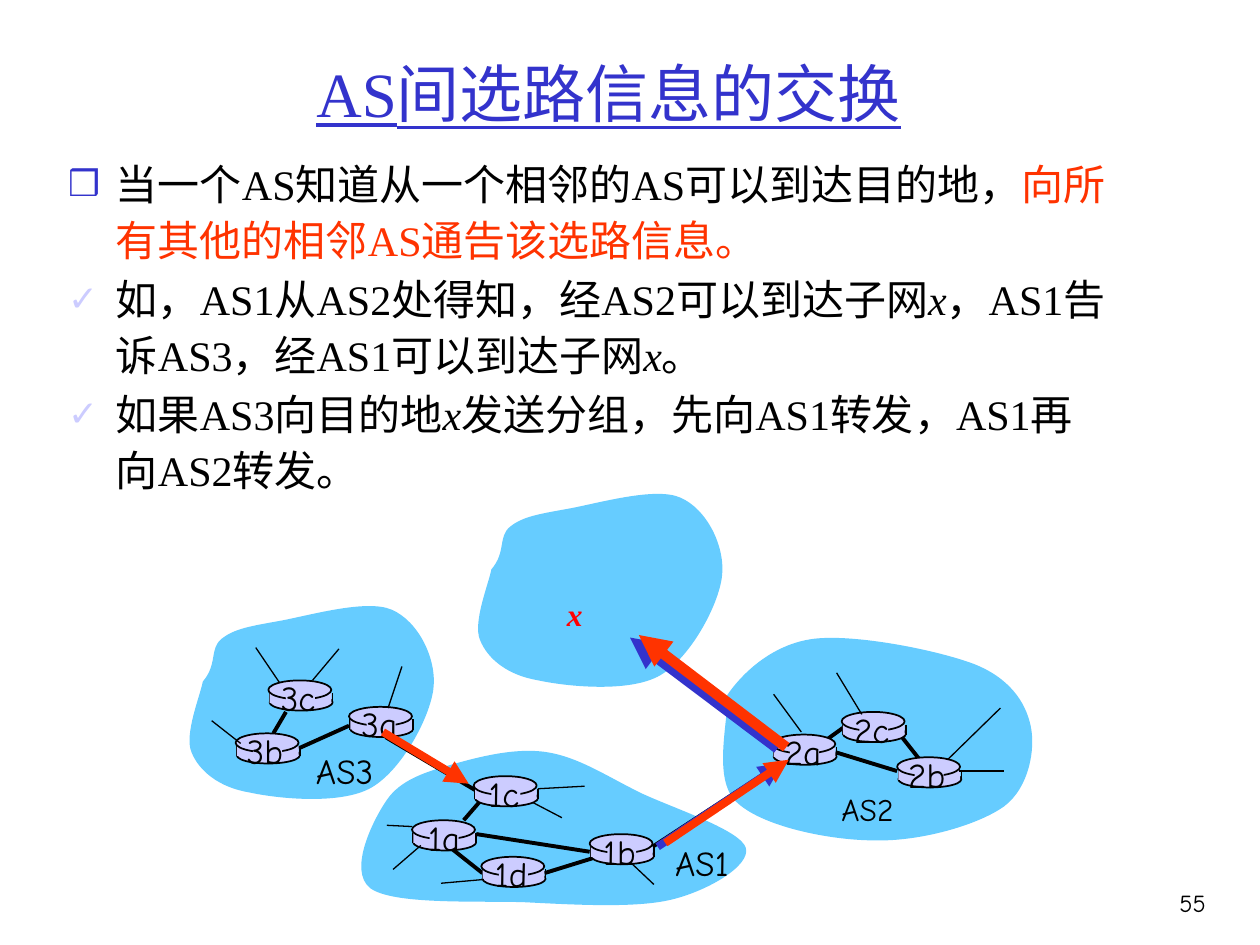
from lxml.etree import SubElement
from pptx import Presentation
from pptx.dml.color import RGBColor
from pptx.enum.shapes import MSO_CONNECTOR, MSO_SHAPE as SHAPE
from pptx.enum.text import MSO_ANCHOR, MSO_AUTO_SIZE, PP_ALIGN
from pptx.oxml.ns import qn
from pptx.util import Inches, Pt

SERIF, COMIC = "Times New Roman", "Comic Neue"
BLACK, BLUE, LILAC, SKY = "000000", "3333CC", "CCCCFF", "66CCFF"
ORANGE, RED = "FF3300", "FF0000"

TITLE = "AS间选路信息的交换"
# (bullet, bullet colour, [(text, colour, italic)])
BODY = [
    ("❒", BLUE, [("当一个AS知道从一个相邻的AS可以到达目的地，", BLACK, False),
                 ("向所有其他的相邻AS通告该选路信息。", ORANGE, False)]),
    ("✓", LILAC, [("如，AS1从AS2处得知，经AS2可以到达子网", BLACK, False),
                  ("x", BLACK, True),
                  ("，AS1告诉AS3，经AS1可以到达子网", BLACK, False),
                  ("x", BLACK, True), ("。", BLACK, False)]),
    ("✓", LILAC, [("如果AS3向目的地", BLACK, False), ("x", BLACK, True),
                  ("发送分组，先向AS1转发，AS1再向AS2转发。", BLACK, False)]),
]

# Cloud outlines: a start point, then three points (two controls, end) per curve
AS2_CLOUD = [(5.77, 5.52),
             (5.9, 5.33), (6.14, 5.11), (6.46, 5.07), (6.79, 5.03), (7.44, 5.16), (7.73, 5.27),
             (8.01, 5.38), (8.14, 5.57), (8.18, 5.76), (8.22, 5.94), (8.17, 6.25), (7.97, 6.4),
             (7.76, 6.55), (7.3, 6.68), (6.94, 6.67), (6.59, 6.67), (6.04, 6.56), (5.84, 6.36),
             (5.65, 6.17), (5.79, 5.7), (5.77, 5.52)]
AS3_CLOUD = [(1.61, 5.41),
             (1.73, 5.27), (1.66, 5.15), (1.76, 5.07), (1.86, 4.99), (1.99, 4.97), (2.21, 4.93),
             (2.44, 4.89), (2.91, 4.75), (3.11, 4.84), (3.32, 4.93), (3.47, 5.23), (3.44, 5.47),
             (3.41, 5.7), (3.19, 6.11), (2.95, 6.25), (2.71, 6.39), (2.21, 6.34), (1.98, 6.29),
             (1.74, 6.25), (1.58, 6.12), (1.52, 5.97), (1.46, 5.83), (1.59, 5.52), (1.61, 5.41)]
AS1_CLOUD = [(3.07, 6.35),
             (3.18, 6.19), (3.37, 6.13), (3.58, 6.07), (3.79, 6.01), (4.09, 5.93), (4.34, 5.97),
             (4.6, 6.01), (4.83, 6.17), (5.1, 6.3), (5.36, 6.42), (5.88, 6.59), (5.92, 6.73),
             (5.96, 6.87), (5.62, 7.07), (5.33, 7.14), (5.04, 7.21), (4.55, 7.18), (4.15, 7.16),
             (3.75, 7.15), (3.12, 7.18), (2.94, 7.05), (2.76, 6.91), (2.96, 6.51), (3.07, 6.35)]
# (outline, shift right, shift down); subnet x has the outline of AS3
CLOUDS = [(AS2_CLOUD, 0, 0), (AS3_CLOUD, 0, 0), (AS1_CLOUD, 0, 0),
          (AS3_CLOUD, 2.29, -0.89)]

# name: (left, top, label left, label width)
ROUTERS = {"3b": (1.87, 5.82, 1.86, 0.54), "1d": (3.82, 6.8, 3.83, 0.49),
           "3a": (2.77, 5.61, 2.77, 0.51), "1c": (3.76, 6.16, 3.78, 0.47),
           "2a": (6.13, 5.83, 6.13, 0.51), "1a": (3.27, 6.51, 3.3, 0.47),
           "2c": (6.68, 5.65, 6.68, 0.52), "2b": (7.12, 6.01, 7.11, 0.54),
           "1b": (4.68, 6.62, 4.69, 0.49), "3c": (2.13, 5.4, 2.13, 0.51)}
LINKS = [(6.63, 5.97, 7.12, 6.12), (7.15, 5.84, 7.3, 6.03), (6.52, 5.9, 6.7, 5.77),
         (4.32, 6.93, 4.74, 6.8), (3.59, 6.74, 3.83, 6.93), (3.78, 6.62, 4.68, 6.76),
         (3.68, 6.51, 3.81, 6.36), (2.37, 5.94, 2.77, 5.76), (3.06, 5.85, 3.77, 6.27),
         (5.18, 6.72, 6.22, 6.04), (2.27, 5.65, 2.17, 5.82)]
STUBS = [(1.68, 5.72, 1.91, 5.9), (2.69, 5.15, 2.48, 5.4), (2.03, 5.14, 2.22, 5.42),
         (3.19, 5.29, 3.08, 5.62), (7.61, 6.12, 7.97, 6.12), (7.52, 6.03, 7.94, 5.62),
         (6.84, 5.67, 6.64, 5.34), (6.36, 5.81, 6.14, 5.51), (3.34, 6.71, 3.12, 6.9),
         (3.27, 6.56, 3.07, 6.55), (3.84, 6.98, 3.5, 7.01), (4.27, 6.26, 4.64, 6.24),
         (5.01, 6.85, 5.19, 7.02), (4.23, 6.37, 4.46, 6.49)]
ARROWS = [((5.22, 6.72, 6.21, 6.06), BLUE, 4.5), ((6.17, 5.94, 5, 5.06), BLUE, 6),
          ((3.04, 5.81, 3.72, 6.22), ORANGE, 4.5),
          ((5.28, 6.69, 6.26, 6.03), ORANGE, 4.5),
          ((6.24, 5.93, 5.07, 5.04), ORANGE, 6)]
AS_LABELS = [("AS3", 2.41, 5.9, 0.77, 0.43, 20), ("AS1", 5.26, 6.63, 0.72, 0.43, 20),
             ("AS2", 6.58, 6.22, 0.71, 0.4, 18)]


def rgb(color):
    return RGBColor.from_string(color)


def place(sp, *box):
    sp.left, sp.top, sp.width, sp.height = map(Inches, box)


def style(r, size, color, font, bold=False, italic=False):
    f = r.font
    f.size, f.name, f.bold, f.italic = Pt(size), font, bold, italic
    f.color.rgb = rgb(color)


def add_text(text, box, size, color=BLACK, font=COMIC, align=PP_ALIGN.LEFT,
             wrap=False, grow=True, bold=False, italic=False):
    tf = s.shapes.add_textbox(*map(Inches, box)).text_frame
    tf.word_wrap = wrap
    tf.auto_size = MSO_AUTO_SIZE.SHAPE_TO_FIT_TEXT if grow else MSO_AUTO_SIZE.NONE
    p = tf.paragraphs[0]
    p.text, p.alignment = text, align
    style(p.runs[0], size, color, font, bold, italic)
    return p


def add_line(ends, width, color=BLACK, arrow=False):
    cx = s.shapes.add_connector(MSO_CONNECTOR.STRAIGHT, *map(Inches, ends))
    cx.line.width, cx.line.color.rgb = Pt(width), rgb(color)
    pr = cx._element.spPr
    if arrow:
        SubElement(pr.find(qn("a:ln")), qn("a:tailEnd"), type="triangle")
    SubElement(pr, qn("a:effectLst"))


def paint(sp, color):
    sp.shadow.inherit = False
    sp.fill.solid()
    sp.fill.fore_color.rgb = rgb(color)
    sp.line.fill.background()


def add_part(kind, box, outlined=False):
    sp = s.shapes.add_shape(kind, *map(Inches, box))
    paint(sp, LILAC)
    if outlined:
        sp.line.color.rgb, sp.line.width = rgb(BLACK), Pt(1)


def add_cloud(outline, dx, dy):
    """Build a freeform, then turn each three line segments into one cubic curve."""
    pts = [(Inches(x + dx), Inches(y + dy)) for x, y in outline]
    fb = s.shapes.build_freeform(*pts[0])
    fb.add_line_segments(pts[1:], close=True)
    sp = fb.convert_to_shape()
    segments = list(sp._element.iter(qn("a:lnTo")))
    for i in range(0, len(segments), 3):
        curve = segments[i].makeelement(qn("a:cubicBezTo"))
        segments[i].addprevious(curve)
        for segment in segments[i:i + 3]:
            curve.append(segment[0])
            segment.getparent().remove(segment)
    paint(sp, SKY)


def add_router(name, x, y, label_x, label_w):
    add_part(SHAPE.OVAL, (x + 0.01, y + 0.11, 0.5, 0.13), outlined=True)
    for side in (x + 0.01, x + 0.51):
        add_line((side, y + 0.1, side, y + 0.18), 1)
    add_part(SHAPE.RECTANGLE, (x + 0.01, y + 0.1, 0.49, 0.08))
    add_part(SHAPE.OVAL, (x, y, 0.5, 0.15), outlined=True)
    add_part(SHAPE.RECTANGLE, (x + 0.14, y + 0.02, 0.23, 0.19))
    add_text(name, (label_x, y - 0.08, label_w, 0.43), 20)


def add_bullet(p, char, color):
    pr = p._p.get_or_add_pPr()
    pr.set("marL", str(Inches(0.38)))
    pr.set("indent", str(Inches(-0.38)))
    SubElement(SubElement(pr, qn("a:buClr")), qn("a:srgbClr"), val=color)
    SubElement(pr, qn("a:buSzPct"), val="85000")
    SubElement(pr, qn("a:buChar"), char=char)


prs = Presentation()
prs.slide_width, prs.slide_height = Inches(10), Inches(7.5)
s = prs.slides.add_slide(prs.slide_layouts[1])

title, body = s.placeholders
place(title, 0.58, 0.25, 8.5, 0.97)
tf = title.text_frame
tf.text, tf.vertical_anchor, tf.auto_size = TITLE, MSO_ANCHOR.MIDDLE, MSO_AUTO_SIZE.NONE
p = tf.paragraphs[0]
p.alignment = PP_ALIGN.CENTER
style(p.runs[0], 36, BLUE, SERIF)
p.runs[0].font.underline = True

place(body, 0.44, 1.17, 8.5, 3.06)
tf = body.text_frame
tf.auto_size = MSO_AUTO_SIZE.NONE
for i, (char, bullet_color, runs) in enumerate(BODY):
    p = tf.add_paragraph() if i else tf.paragraphs[0]
    p.line_spacing, p.space_before = 1.1, Pt(2.4)
    add_bullet(p, char, bullet_color)
    for text, color, italic in runs:
        r = p.add_run()
        r.text = text
        style(r, 24, color, SERIF, italic=italic)

for cloud in CLOUDS:
    add_cloud(*cloud)
for ends in LINKS:
    add_line(ends, 2.25)
for name, spot in ROUTERS.items():
    add_router(name, *spot)
for ends in STUBS:
    add_line(ends, 0.75)
for text, *box, size in AS_LABELS:
    add_text(text, box, size)
p = add_text("x", (4.4, 4.67, 0.64, 0.4), 18, RED, SERIF, wrap=True, bold=True, italic=True)
p.space_before = Pt(9)
for ends, color, width in ARROWS:
    add_line(ends, width, color, arrow=True)
add_text("55", (8.93, 7, 0.74, 0.5), 14, align=PP_ALIGN.RIGHT, wrap=True, grow=False)

prs.save("out.pptx")
